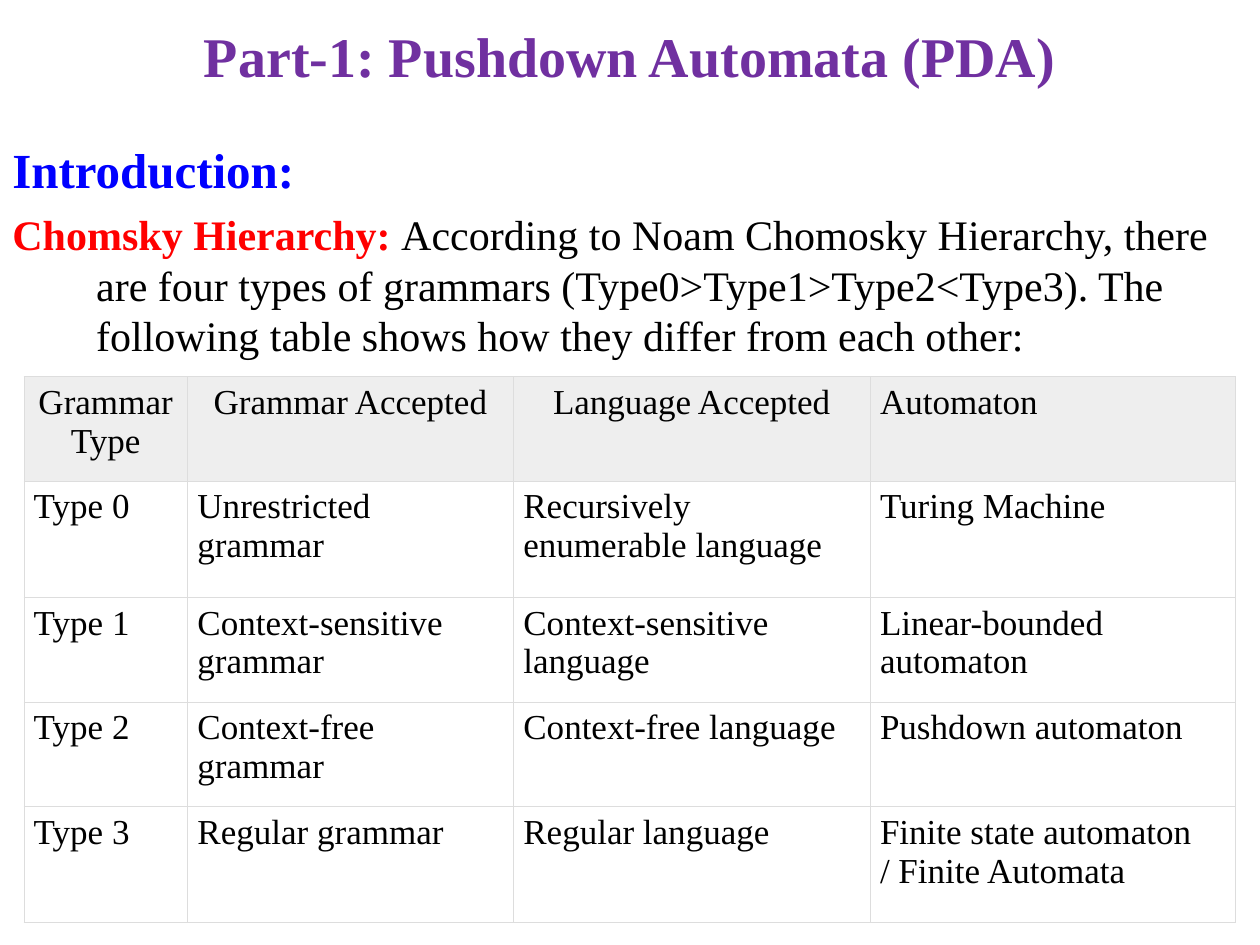
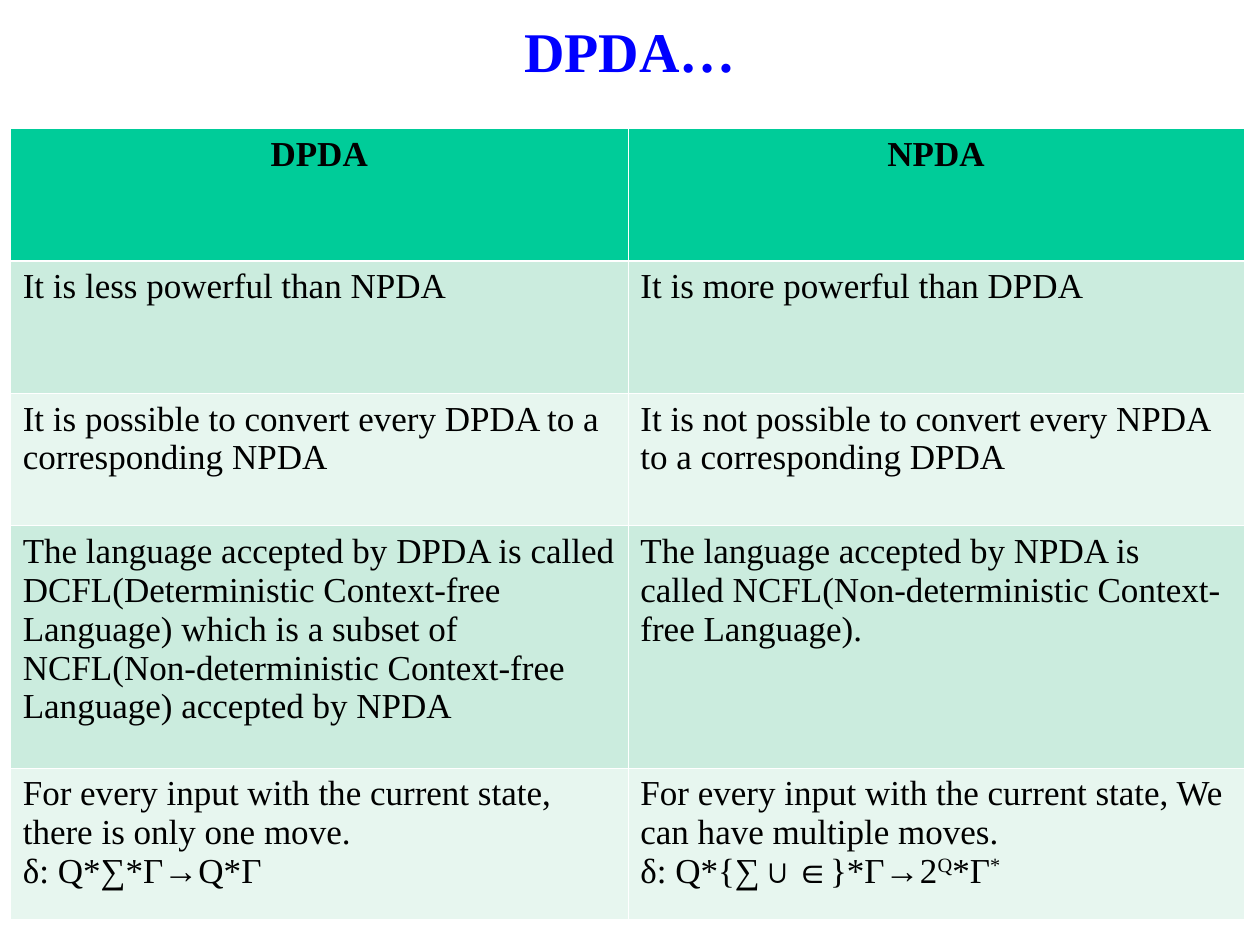
"""Build two slides that compare grammars and pushdown automata."""
from dataclasses import dataclass

import pptx
import pptx.dml.color
import pptx.enum.text
import pptx.oxml
import pptx.oxml.ns
import pptx.util
from pptx.util import Cm

FONT = "Times New Roman"
BLACK, BLUE, RED, PURPLE = "000000", "0000FF", "FF0000", "7030A0"
GREY, RULE, WHITE = "EEEEEE", "DDDDDD", "FFFFFF"
GREEN, MINT, PALE = "00CC99", "CBECDE", "E7F6EF"
HANG = 1.69
ALIGN = pptx.enum.text.PP_ALIGN
C, J, L = ALIGN.CENTER, ALIGN.JUSTIFY, ALIGN.LEFT


@dataclass
class Grid:
    """A table: geometry in centimetres, text by row, and its look."""
    left: float
    top: float
    cols: list[float]
    heights: list[float]
    rows: list[list[str]]
    header_aligns: list
    header_bold: bool
    fills: list
    line: str
    line_pt: float
    header_rule_pt: float
    inset: float


@dataclass
class Span:
    """A stretch of text in one style."""
    text: str
    size: float
    color: str = BLACK
    bold: bool = False


GRAMMARS = Grid(
    left=0.48, top=7.59, cols=[3.3, 6.57, 7.19, 7.36],
    heights=[2.11, 2.34, 2.11, 2.11, 2.34],
    rows=[
        ["Grammar Type", "Grammar Accepted", "Language Accepted", "Automaton"],
        ["Type 0", "Unrestricted grammar", "Recursively enumerable language",
         "Turing Machine"],
        ["Type 1", "Context-sensitive grammar", "Context-sensitive language",
         "Linear-bounded automaton"],
        ["Type 2", "Context-free grammar", "Context-free language",
         "Pushdown automaton"],
        ["Type 3", "Regular grammar", "Regular language",
         "Finite state automaton\n/ Finite Automata"],
    ],
    header_aligns=[C, C, C, J], header_bold=False,
    fills=[GREY, None, None, None, None],
    line=RULE, line_pt=0.34, header_rule_pt=0.34, inset=0.2)

DPDA_NPDA = Grid(
    left=0.21, top=2.59, cols=[12.45, 12.42],
    heights=[2.67, 2.67, 2.67, 4.88, 3.05],
    rows=[
        ["DPDA", "NPDA"],
        ["It is less powerful than NPDA", "It is more powerful than DPDA"],
        ["It is possible to convert every DPDA to a corresponding NPDA",
         "It is not possible to convert every NPDA to a corresponding DPDA"],
        ["The language accepted by DPDA is called DCFL(Deterministic "
         "Context-free Language) which is a subset of NCFL(Non-deterministic "
         "Context-free Language) accepted by NPDA",
         "The language accepted by NPDA is called NCFL(Non-deterministic "
         "Context-free Language)."],
        ["For every input with the current state, there is only one move.\n"
         "δ: Q*∑*Γ→Q*Γ",
         "For every input with the current state, We can have multiple moves.\n"
         "δ: Q*{∑∪∈}*Γ→2^Q^*Γ^*"],
    ],
    header_aligns=[C, C], header_bold=True,
    fills=[GREEN, MINT, PALE, MINT, PALE],
    line=WHITE, line_pt=0.45, header_rule_pt=1.47, inset=0.25)


def rgb(value: str) -> pptx.dml.color.RGBColor:
    """Turn a hex string into a colour."""
    return pptx.dml.color.RGBColor.from_string(value)


def add_run(p, span: Span):
    """Append a styled run to a paragraph."""
    r = p.add_run()
    r.text = span.text
    r.font.name = FONT
    r.font.size = pptx.util.Pt(span.size)
    r.font.bold = span.bold
    r.font.color.rgb = rgb(span.color)
    return r


def add_box(s, top: float, height: float):
    """Add a wrapping text box as wide as the slide."""
    tf = s.shapes.add_textbox(0, Cm(top), Cm(25.4), Cm(height)).text_frame
    tf.word_wrap = True
    return tf


def add_title(s, text: str, color: str, height: float) -> None:
    """Add the centred slide title."""
    tf = add_box(s, 0, height)
    tf.vertical_anchor = pptx.enum.text.MSO_ANCHOR.MIDDLE
    p = tf.paragraphs[0]
    p.alignment = C
    add_run(p, Span(text, 32, color, True))


def add_body(s, top: float, height: float, lines: list[list[Span]]) -> None:
    """Add paragraphs with a hanging indent."""
    tf = add_box(s, top, height)
    for i, spans in enumerate(lines):
        p = tf.add_paragraph() if i else tf.paragraphs[0]
        if i:
            p.space_before = pptx.util.Pt(6)
        pPr = p._p.get_or_add_pPr()
        pPr.set("marL", str(Cm(HANG)))
        pPr.set("indent", str(-Cm(HANG)))
        for span in spans:
            add_run(p, span)


def write_cell(cell, text: str, align, bold: bool) -> None:
    """Write a cell, raising the parts set between carets."""
    tf = cell.text_frame
    for i, line in enumerate(text.split("\n")):
        p = tf.add_paragraph() if i else tf.paragraphs[0]
        p.alignment = align
        for n, part in enumerate(line.split("^")):
            r = add_run(p, Span(part, 20, bold=bold))
            if n % 2:
                r._r.get_or_add_rPr().set("baseline", "30000")


def set_borders(cell, color: str, widths: dict[str, float]) -> None:
    """Draw the four cell borders, widths in points by side."""
    tcPr = cell._tc.get_or_add_tcPr()
    for i, (side, width) in enumerate(widths.items()):
        tcPr.insert(i, pptx.oxml.parse_xml(
            f'<a:ln{side} {pptx.oxml.ns.nsdecls("a")} w="{pptx.util.Pt(width)}">'
            f'<a:solidFill><a:srgbClr val="{color}"/></a:solidFill></a:ln{side}>'))


def add_grid(s, grid: Grid) -> None:
    """Add a table with its fills and borders."""
    table = s.shapes.add_table(
        len(grid.rows), len(grid.cols), Cm(grid.left), Cm(grid.top),
        Cm(sum(grid.cols)), Cm(sum(grid.heights))).table
    table.first_row = table.horz_banding = False
    for column, width in zip(table.columns, grid.cols):
        column.width = Cm(width)
    for i, (texts, height) in enumerate(zip(grid.rows, grid.heights)):
        table.rows[i].height = Cm(height)
        header = i == 0
        widths = dict.fromkeys("LRTB", grid.line_pt)
        if i < 2:
            widths["B" if header else "T"] = grid.header_rule_pt
        for j, text in enumerate(texts):
            cell = table.cell(i, j)
            cell.margin_left = cell.margin_right = Cm(grid.inset)
            cell.margin_top = cell.margin_bottom = Cm(0.13)
            write_cell(cell, text, grid.header_aligns[j] if header else L,
                       header and grid.header_bold)
            if grid.fills[i]:
                cell.fill.solid()
                cell.fill.fore_color.rgb = rgb(grid.fills[i])
            else:
                cell.fill.background()
            set_borders(cell, grid.line, widths)


def main() -> None:
    """Build and save the presentation."""
    prs = pptx.Presentation()
    prs.slide_width, prs.slide_height = Cm(25.4), Cm(19.05)
    blank = prs.slide_layouts[6]

    s = prs.slides.add_slide(blank)
    add_title(s, "Part-1: Pushdown Automata (PDA)", PURPLE, 2.21)
    add_body(s, 2.69, 4.93, [
        [Span("Introduction:", 28, BLUE, True)],
        [Span("Chomsky Hierarchy: ", 24, RED, True),
         Span("According to Noam Chomosky Hierarchy, there are four types of "
              "grammars (Type0>Type1>Type2<Type3). The following table shows "
              "how they differ from each other:", 24)],
    ])
    add_grid(s, GRAMMARS)

    s = prs.slides.add_slide(blank)
    add_title(s, "DPDA…", BLUE, 2.01)
    add_grid(s, DPDA_NPDA)

    prs.save("out.pptx")


if __name__ == "__main__":
    main()
